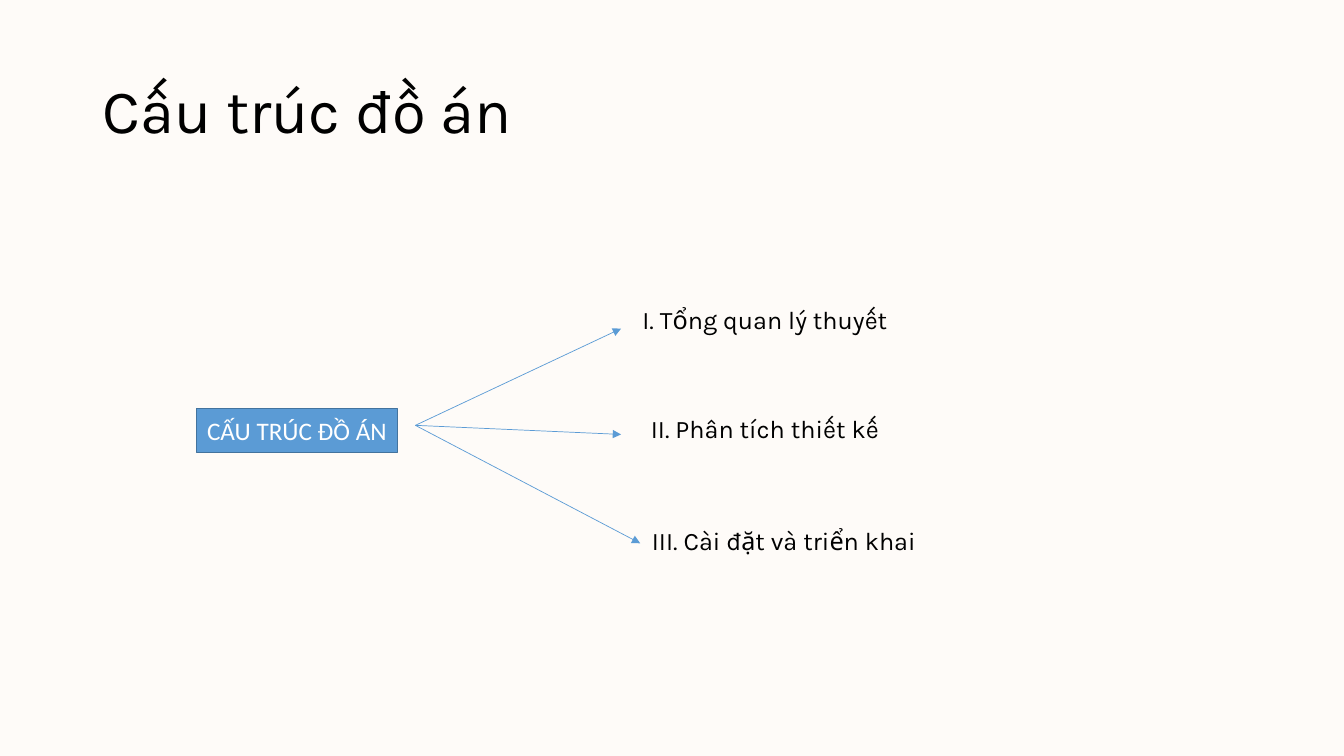
from pptx import Presentation
from pptx.dml.color import RGBColor
from pptx.enum.shapes import MSO_CONNECTOR as CONN, MSO_SHAPE as SHAPE
from pptx.enum.text import MSO_ANCHOR as ANCHOR, PP_ALIGN as ALIGN
from pptx.oxml.ns import qn
from pptx.util import Inches, Pt
from lxml.etree import SubElement

COLORS = {"background": "FEFBF8", "text": "000000", "blue": "5B9BD5",
          "outline": "43739E", "white": "FFFFFF"}
HUB = (4.12, 4.22)
CHAPTERS = [
    ("I. Tổng quan lý thuyết", (5.14, 2.88, 4.89, 0.58), (6.16, 3.26)),
    ("II. Phân tích thiết kế", (5.14, 3.96, 4.89, 0.58), (6.16, 4.31)),
    ("III. Cài đặt và triển khai", (5.33, 5.1, 4.89, 0.53), (6.35, 5.39)),
]


def color(name):
    return RGBColor.from_string(COLORS[name])


def write(sp, text, size, font, ink, align, wrap=True):
    tf = sp.text_frame
    tf.word_wrap = wrap
    tf.vertical_anchor = ANCHOR.MIDDLE
    p = tf.paragraphs[0]
    p.text = text
    p.alignment = align
    p.font.size = Pt(size)
    p.font.name = font
    p.font.color.rgb = color(ink)
    return p


def add_text(s, text, box, size, align=ALIGN.CENTER):
    sp = s.shapes.add_textbox(*map(Inches, box))
    return write(sp, text, size, "Karla", "text", align)


def add_box(s, text, box):
    sp = s.shapes.add_shape(SHAPE.RECTANGLE, *map(Inches, box))
    sp.shadow.inherit = False
    sp.fill.solid()
    sp.fill.fore_color.rgb = color("blue")
    sp.line.color.rgb = color("outline")
    sp.line.width = Pt(1)
    write(sp, text, 18, "Calibri", "white", ALIGN.CENTER, wrap=False)


def add_arrow(s, start, end):
    sp = s.shapes.add_connector(CONN.STRAIGHT, *map(Inches, start + end))
    sp.line.color.rgb = color("blue")
    sp.line.width = Pt(0.5)
    SubElement(sp.line._get_or_add_ln(), qn("a:tailEnd"), type="triangle")
    SubElement(sp._element.spPr, qn("a:effectLst"))


def main():
    prs = Presentation()
    prs.slide_width, prs.slide_height = Inches(13.33), Inches(7.5)
    s = prs.slides.add_slide(prs.slide_layouts[6])
    s.background.fill.solid()
    s.background.fill.fore_color.rgb = color("background")

    title = add_text(s, "Cấu trúc đồ án", (0.92, 0.4, 11.5, 1.45), 44, ALIGN.LEFT)
    title.line_spacing = 0.9
    for text, box, tip in CHAPTERS:
        add_arrow(s, HUB, tip)
        add_text(s, text, box, 18)
    add_box(s, "CẤU TRÚC ĐỒ ÁN", (1.95, 4.05, 1.99, 0.44))
    prs.save("out.pptx")


main()
